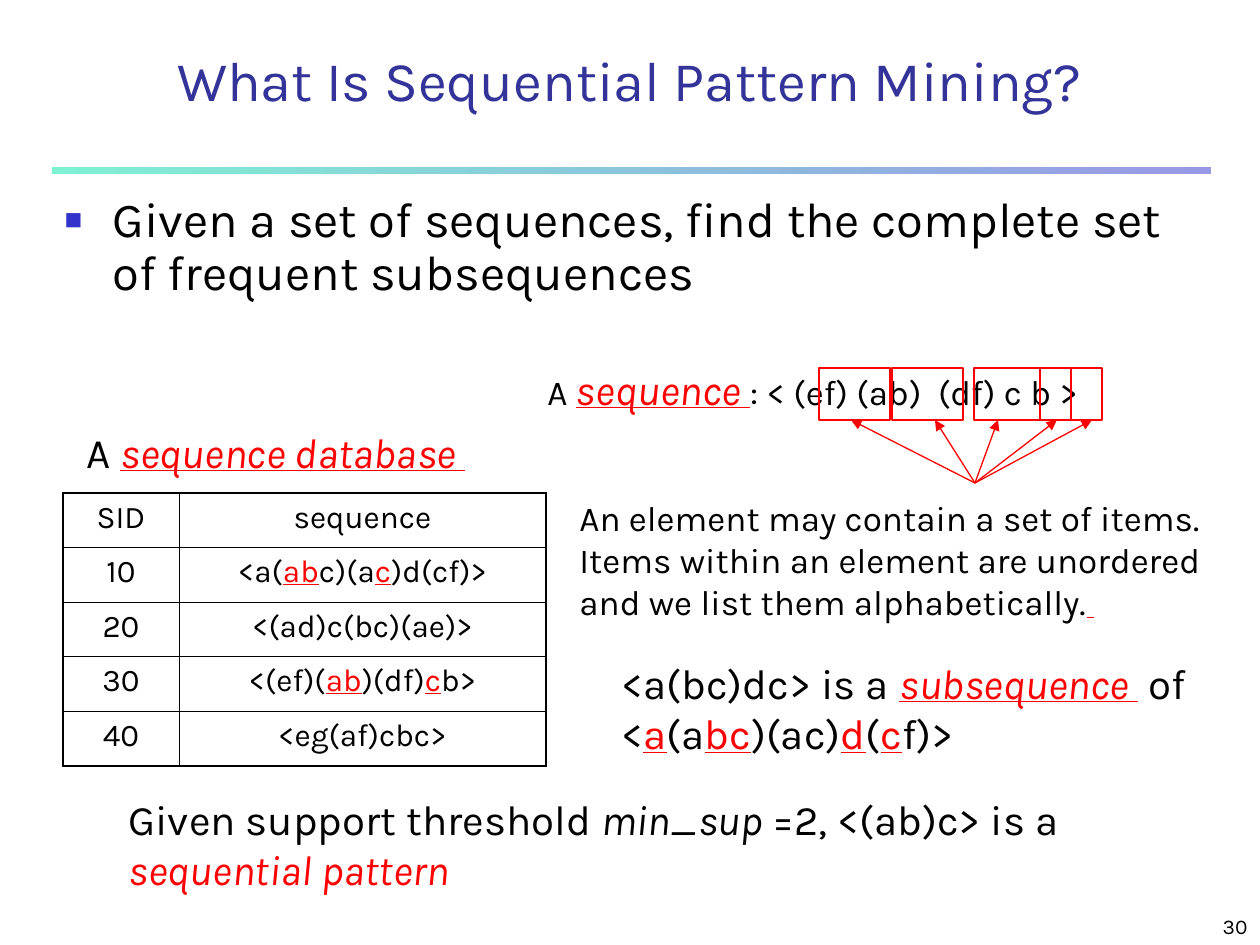
from lxml.etree import SubElement
from pptx import Presentation
from pptx.dml.color import RGBColor
from pptx.enum.shapes import MSO_CONNECTOR, MSO_SHAPE
from pptx.enum.text import MSO_ANCHOR, MSO_AUTO_SIZE, PP_ALIGN
from pptx.oxml.ns import qn
from pptx.util import Pt

PX = 914400 / 126
HUES = {"ink": "000000", "red": "FF0000", "title": "333399",
        "blue": "3333CC", "mint": "00E4A8"}


def px(*nums):
    return [round(n * PX) for n in nums]


def hue(name):
    return RGBColor.from_string(HUES[name])


class Deck:
    """Hold the style and the current slide, and draw each kind of element."""

    def __init__(self, wide, high, font):
        self.font = font
        self.prs = Presentation()
        self.prs.slide_width, self.prs.slide_height = px(wide, high)

    def start(self):
        self.slide = self.prs.slides.add_slide(self.prs.slide_layouts[1])
        self.shapes = self.slide.shapes

    def runs(self, para, parts, size, ink="ink"):
        for text, marks, *own in parts:
            run = para.add_run()
            run.text = text
            font = run.font
            font.name = self.font
            font.size = Pt(own[0] if own else size)
            font.color.rgb = hue("red" if "r" in marks else ink)
            font.italic = "i" in marks
            font.underline = "u" in marks

    def fill(self, shape, lines, size, ink="ink", align=PP_ALIGN.LEFT,
             anchor=MSO_ANCHOR.TOP):
        frame = shape.text_frame
        frame.word_wrap = True
        frame.auto_size = MSO_AUTO_SIZE.NONE
        frame.vertical_anchor = anchor
        for i, parts in enumerate(lines):
            para = frame.add_paragraph() if i else frame.paragraphs[0]
            para.alignment = align
            self.runs(para, parts, size, ink)

    def place(self, shape, box):
        shape.left, shape.top, shape.width, shape.height = px(*box)

    def title(self, box, text):
        shape = self.shapes.title
        self.place(shape, box)
        self.fill(shape, [[(text, "")]], 32, "title", PP_ALIGN.CENTER,
                  MSO_ANCHOR.MIDDLE)

    def body(self, box, text):
        shape = self.slide.placeholders[1]
        self.place(shape, box)
        para = shape.text_frame.paragraphs[0]
        props = para._p.get_or_add_pPr()
        indent, = px(48)
        props.set("marL", str(indent))
        props.set("indent", str(-indent))
        tint = SubElement(props, qn("a:buClr"))
        SubElement(tint, qn("a:srgbClr"), val=HUES["blue"])
        SubElement(props, qn("a:buSzPct"), val="60000")
        SubElement(props, qn("a:buChar"), char="■")
        para.line_spacing = 0.9
        para.space_before = Pt(0)
        self.fill(shape, [[(text, "")]], 28)

    def text(self, box, lines, size, **style):
        self.fill(self.shapes.add_textbox(*px(*box)), lines, size, **style)

    def rule(self, box, left, right):
        bar = self.shapes.add_shape(MSO_SHAPE.RECTANGLE, *px(*box))
        bar.shadow.inherit = False
        bar.line.fill.background()
        bar.fill.gradient()
        bar.fill.gradient_angle = 0
        for stop, name in zip(bar.fill.gradient_stops, (left, right)):
            stop.color.rgb = hue(name)
        for tint in bar._element.spPr.iter(qn("a:srgbClr")):
            SubElement(tint, qn("a:alpha"), val="50000")

    def frame(self, box):
        shape = self.shapes.add_shape(MSO_SHAPE.RECTANGLE, *px(*box))
        shape.shadow.inherit = False
        shape.fill.background()
        shape.line.color.rgb = hue("red")
        shape.line.width = Pt(0.75)

    def arrow(self, *ends):
        link = self.shapes.add_connector(MSO_CONNECTOR.STRAIGHT, *px(*ends))
        link.line.color.rgb = hue("red")
        link.line.width = Pt(0.75)
        SubElement(link.line._get_or_add_ln(), qn("a:tailEnd"), type="triangle")
        SubElement(link._element.spPr, qn("a:effectLst"))

    def edge(self, cell, sides):
        props = cell._tc.get_or_add_tcPr()
        for side, outer in sides.items():
            width = Pt(1.08 if outer else 0.45)
            line = SubElement(props, qn(f"a:ln{side}"), w=str(width))
            solid = SubElement(line, qn("a:solidFill"))
            SubElement(solid, qn("a:srgbClr"), val=HUES["ink"])

    def table(self, box, cols, rows, size):
        high = len(rows)
        grid = self.shapes.add_table(high, len(cols), *px(*box)).table
        grid.first_row = grid.horz_banding = False
        for col, wide in zip(grid.columns, px(*cols)):
            col.width = wide
        for r, row in enumerate(rows):
            grid.rows[r].height, = px(box[3] / high)
            for c, parts in enumerate(row):
                cell = grid.cell(r, c)
                para = cell.text_frame.paragraphs[0]
                para.alignment = PP_ALIGN.CENTER
                self.runs(para, parts, size)
                self.edge(cell, {"L": c == 0, "R": c == len(cols) - 1,
                                 "T": r == 0, "B": r == high - 1})
                cell.fill.background()


def main():
    deck = Deck(1260, 945, "Karla")
    deck.start()
    deck.rule((52, 167, 1159, 7), "mint", "blue")
    deck.title((0, 0, 1260, 158), "What Is Sequential Pattern Mining?")
    deck.body((52, 189, 1155, 141), "Given a set of sequences, find the "
              "complete set of frequent subsequences")

    deck.text((74, 420, 431, 63),
              [[("A ", ""), ("sequence database ", "riu")]], 24)
    deck.text((535, 357, 640, 63),
              [[("A ", ""), ("sequence ", "riu", 24),
                (": < (ef) (ab)  (df) c b >", "")]], 20)
    deck.text((567, 490, 673, 139),
              [[("An element may contain a set of items.", "")],
               [("Items within an element are unordered", "")],
               [("and we list them alphabetically.", ""), (" ", "riu")]], 20)
    deck.text((609, 651, 590, 113),
              [[("<a(bc)dc> is a ", ""), ("subsequence ", "riu"),
                (" of <", ""), ("a", "ru"), ("(a", ""), ("bc", "ru"),
                (")(ac)", ""), ("d", "ru"), ("(", ""), ("c", "ru"),
                ("f)>", "")]], 24)
    deck.text((116, 787, 1061, 113),
              [[("Given support threshold ", ""), ("min_sup ", "i"),
                ("=2, <(ab)c> is a ", ""), ("sequential pattern", "ri")]], 24)

    for left, wide, tip in ((819, 71, 851), (892, 71, 935), (974, 66, 998),
                            (1040, 31, 1057), (1071, 31, 1092)):
        deck.frame((left, 368, wide, 52))
        deck.arrow(975, 483, tip, 420)

    data = {
        "SID": [("sequence", "")],
        "10": [("<a(", ""), ("ab", "ru"), ("c)(a", ""), ("c", "ru"),
               (")d(cf)>", "")],
        "20": [("<(ad)c(bc)(ae)>", "")],
        "30": [("<(ef)(", ""), ("ab", "ru"), (")(df)", ""), ("c", "ru"),
               ("b>", "")],
        "40": [("<eg(af)cbc>", "")],
    }
    rows = [([(sid, "")], parts) for sid, parts in data.items()]
    deck.table((63, 493, 483, 273), (116, 367), rows, 18)
    deck.text((998, 892, 262, 53), [[("30", "")]], 12,
              align=PP_ALIGN.RIGHT, anchor=MSO_ANCHOR.BOTTOM)
    deck.prs.save("out.pptx")


if __name__ == "__main__":
    main()
